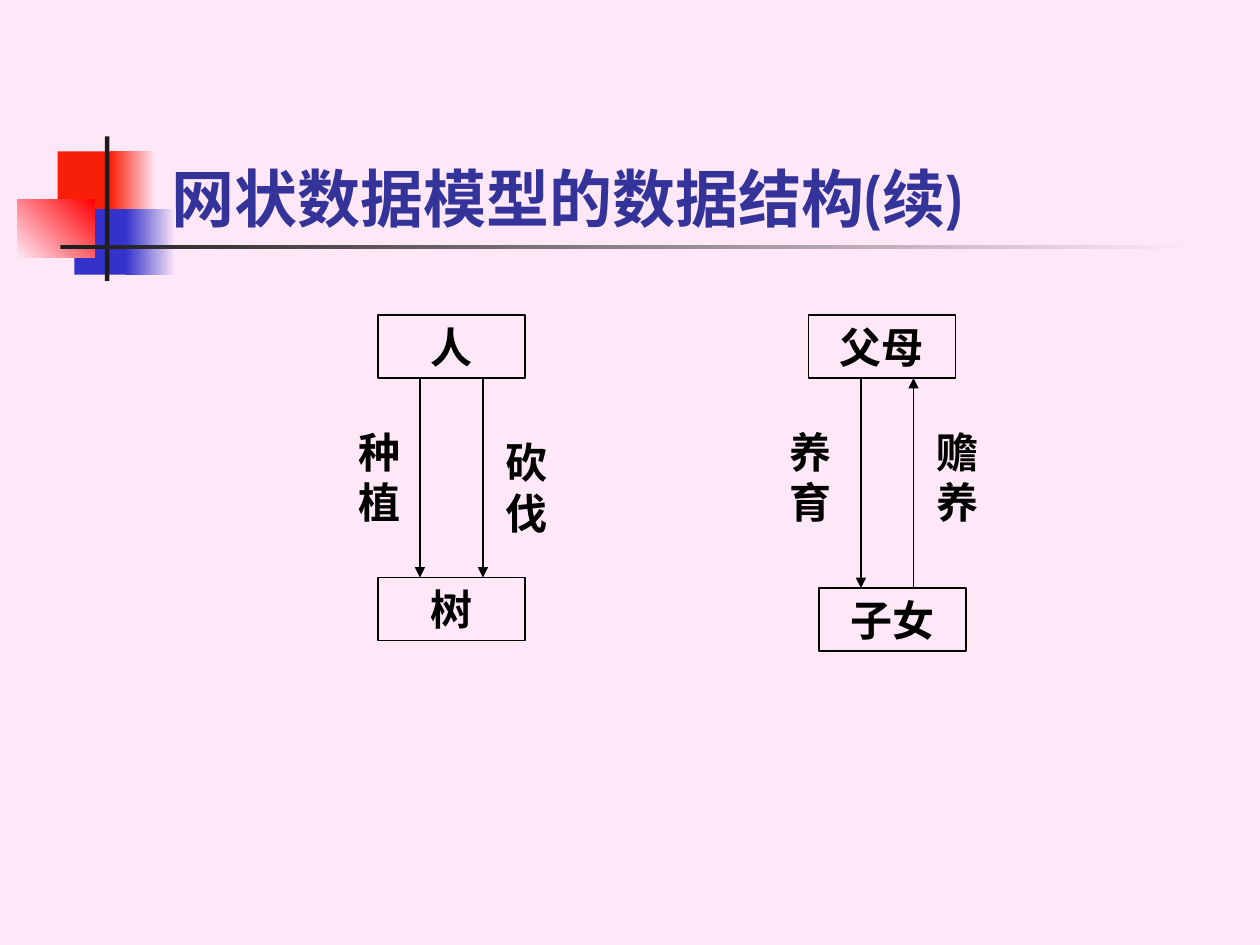
from lxml.etree import SubElement
from pptx import Presentation
from pptx.dml.color import RGBColor
from pptx.enum.shapes import MSO_CONNECTOR as Connector, MSO_SHAPE as Shape
from pptx.enum.text import MSO_ANCHOR as Anchor, MSO_AUTO_SIZE as AutoSize, PP_ALIGN as Align
from pptx.oxml.ns import qn
from pptx.util import Pt

PINK = RGBColor(0xFE, 0xE8, 0xF7)
ORANGE_RED = RGBColor(0xF8, 0x1F, 0x08)
RED = RGBColor(0xFF, 0x00, 0x00)
BLUE = RGBColor(0x33, 0x33, 0xCC)
CHARCOAL = RGBColor(0x1C, 0x1C, 0x1C)
INDIGO = RGBColor(0x33, 0x33, 0x99)
BLACK = RGBColor(0x00, 0x00, 0x00)

TITLE_FONT = "Cabin"
BODY_FONT = "Times New Roman"
BOX_WIDTH, BOX_HEIGHT = 84, 36
LABEL_WIDTH, LABEL_HEIGHT = 36, 65
TOP_ROW = 180


def format_text(shape, text, font_name, size, color, align, anchor):
    frame = shape.text_frame
    frame.text = text
    frame.word_wrap = True
    frame.auto_size = AutoSize.NONE
    frame.vertical_anchor = anchor
    para = frame.paragraphs[0]
    para.alignment = align
    font = para.runs[0].font
    font.name = font_name
    font.size = Pt(size)
    font.bold = True
    font.color.rgb = color


def add_rectangle(page, left, top, width, height):
    box = page.shapes.add_shape(Shape.RECTANGLE, Pt(left), Pt(top), Pt(width), Pt(height))
    box.shadow.inherit = False
    return box


def add_block(page, bounds, start, end=None, angle=0):
    block = add_rectangle(page, *bounds)
    block.line.fill.background()
    if end is None:
        block.fill.solid()
        block.fill.fore_color.rgb = start
        return
    block.fill.gradient()
    block.fill.gradient_angle = angle
    for stop, color in zip(block.fill.gradient_stops, (start, end)):
        stop.color.rgb = color


def add_ornament(page):
    add_block(page, (33, 86.5, 34.5, 37.5), ORANGE_RED)
    add_block(page, (63, 86.5, 26, 37.5), ORANGE_RED, PINK)
    add_block(page, (42.5, 119.5, 33, 37.5), BLUE)
    add_block(page, (72, 119.5, 28.5, 37.5), BLUE, PINK)
    add_block(page, (10, 113.75, 44, 33.25), PINK, RED, 45)
    add_block(page, (60, 78, 2.5, 82.5), CHARCOAL)
    add_block(page, (34.5, 140, 648, 2.5), CHARCOAL, PINK)


def add_title(page, text):
    title = page.shapes.title
    title.left, title.top, title.width, title.height = Pt(91), Pt(48), Pt(613.5), Pt(90)
    format_text(title, text, TITLE_FONT, 36, INDIGO, Align.LEFT, Anchor.BOTTOM)


def add_entity(page, text, left, top):
    box = add_rectangle(page, left, top, BOX_WIDTH, BOX_HEIGHT)
    box.fill.background()
    box.line.color.rgb = BLACK
    box.line.width = Pt(0.75)
    format_text(box, text, BODY_FONT, 24, BLACK, Align.CENTER, Anchor.TOP)


def add_label(page, text, left, top):
    box = page.shapes.add_textbox(Pt(left), Pt(top), Pt(LABEL_WIDTH), Pt(LABEL_HEIGHT))
    format_text(box, text, BODY_FONT, 24, BLACK, Align.CENTER, Anchor.TOP)


def add_arrow(page, x, start, end):
    arrow = page.shapes.add_connector(Connector.STRAIGHT, Pt(x), Pt(start), Pt(x), Pt(end))
    arrow.line.color.rgb = BLACK
    arrow.line.width = Pt(1)
    SubElement(arrow.line._get_or_add_ln(), qn("a:tailEnd"), type="triangle")
    SubElement(arrow._element.spPr, qn("a:effectLst"))


def main():
    deck = Presentation()
    deck.slide_width, deck.slide_height = Pt(720), Pt(540)
    page = deck.slides.add_slide(deck.slide_layouts[5])
    page.background.fill.solid()
    page.background.fill.fore_color.rgb = PINK

    add_ornament(page)
    add_title(page, "网状数据模型的数据结构(续)")

    upper_edge = TOP_ROW + BOX_HEIGHT
    tree_top, children_top = 330, 336
    for text, left, top in (
        ("父母", 462, TOP_ROW),
        ("人", 216, TOP_ROW),
        ("子女", 468, children_top),
        ("树", 216, tree_top),
    ):
        add_entity(page, text, left, top)

    for x, start, end in (
        (240, upper_edge, tree_top),
        (276, upper_edge, tree_top),
        (492, upper_edge, children_top),
        (522, children_top, upper_edge),
    ):
        add_arrow(page, x, start, end)

    for text, left, top in (
        ("种植", 198, 240),
        ("砍伐", 282, 246),
        ("养育", 444, 240),
        ("赡养", 528, 240),
    ):
        add_label(page, text, left, top)

    deck.save("out.pptx")


if __name__ == "__main__":
    main()
